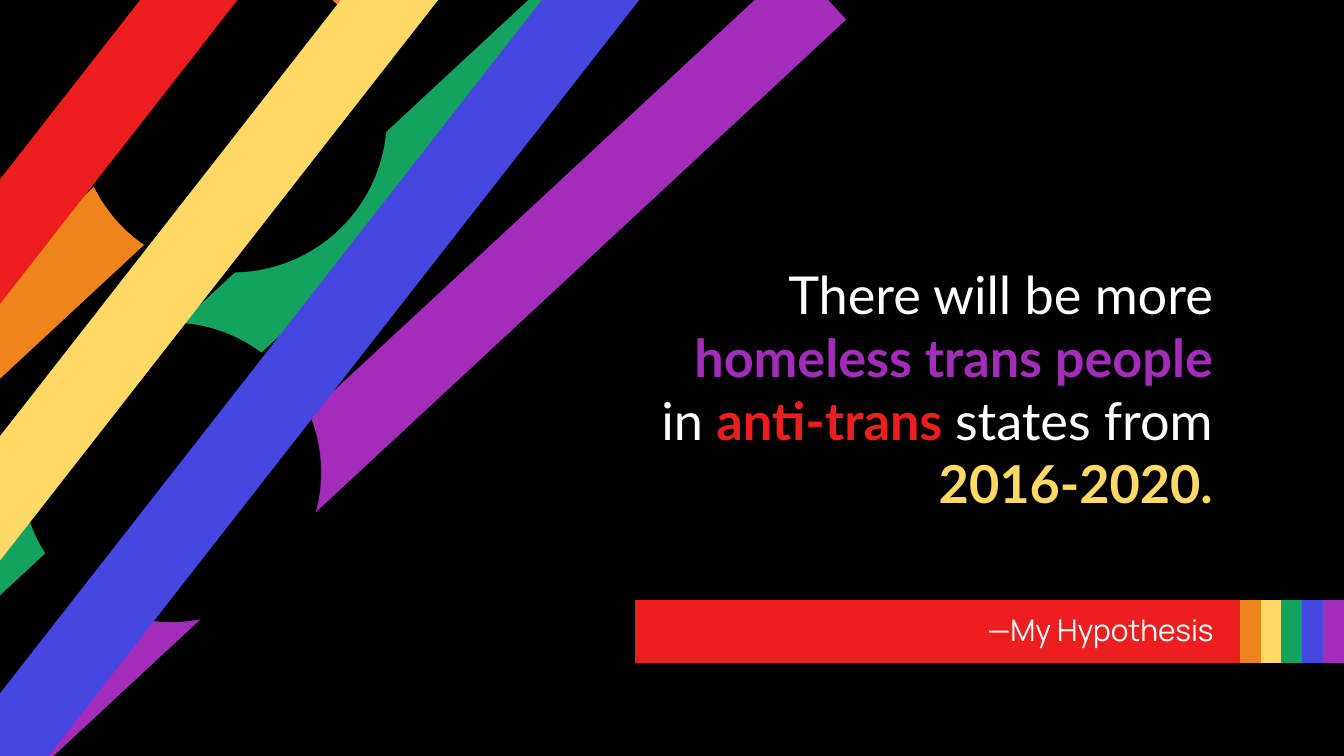
import pptx
import pptx.util
import pptx.dml.color
import pptx.enum.shapes
import pptx.enum.text

Cm = pptx.util.Cm
Pt = pptx.util.Pt
SHAPE = pptx.enum.shapes.MSO_SHAPE

COLORS = {
    "black": "000000",
    "white": "FFFFFF",
    "red": "EC1E1E",
    "orange": "EE841A",
    "yellow": "FFD966",
    "green": "13A35F",
    "blue": "4646E0",
    "purple": "A32CBB",
}
BAR_WIDTH = 1.45
SHALLOW, STEEP = 47.1, 38


def color(name):
    return pptx.dml.color.RGBColor.from_string(COLORS[name])


def set_values(target, values):
    for name, value in values.items():
        setattr(target, name, value)


def add_filled(group, kind, box, fill, outlined=False):
    shape = group.shapes.add_shape(kind, *[Cm(length) for length in box])
    shape.shadow.inherit = False
    shape.fill.solid()
    shape.fill.fore_color.rgb = color(fill)
    if outlined:
        shape.line.color.rgb = color(fill)
        shape.line.width = Pt(0.75)
    else:
        shape.line.fill.background()
    return shape


def add_rainbow_bars(page, box):
    left, top = box[:2]
    group = page.shapes.add_group_shape()

    def bar(x, y, length, angle, fill):
        place = (left + x, top + y, BAR_WIDTH, length)
        add_filled(group, SHAPE.RECTANGLE, place, fill).rotation = angle

    def cutout(x, y, diameter):
        place = (left + x, top + y, diameter, diameter)
        add_filled(group, SHAPE.OVAL, place, "black")

    bar(3.43, -3.45, 19.71, SHALLOW, "green")
    bar(1.22, -2.9, 14.53, SHALLOW, "orange")
    cutout(1.47, -0.69, 5.84)
    bar(7.09, -3.51, 20.98, SHALLOW, "purple")
    cutout(0.41, 6.1, 5.66)
    bar(4.6, -3.07, 21.08, STEEP, "blue")
    bar(2.39, -2.82, 16.51, STEEP, "yellow")
    bar(0.18, -3.56, 13.94, STEEP, "red")


def add_caption_band(page, box):
    left, top, width, height = box
    accents = ["orange", "yellow", "green", "blue", "purple"]
    step = 0.39
    main_width = width - step * len(accents)
    group = page.shapes.add_group_shape()
    add_filled(group, SHAPE.RECTANGLE, (left, top, main_width, height), "red", True)
    for index, accent in enumerate(accents):
        place = (left + main_width + index * step, top, step, height)
        add_filled(group, SHAPE.RECTANGLE, place, accent, True)


def fill_placeholder(page, holder, box, spans, font, size):
    page.shapes._spTree.append(holder._element)
    set_values(holder, dict(zip(("left", "top", "width", "height"), map(Cm, box))))
    frame = holder.text_frame
    inset = Cm(0.25)
    set_values(frame, {
        "word_wrap": True,
        "auto_size": pptx.enum.text.MSO_AUTO_SIZE.NONE,
        "vertical_anchor": pptx.enum.text.MSO_ANCHOR.MIDDLE,
        "margin_left": inset,
        "margin_top": inset,
        "margin_right": inset,
        "margin_bottom": inset,
    })
    para = frame.paragraphs[0]
    set_values(para, {
        "alignment": pptx.enum.text.PP_ALIGN.RIGHT,
        "space_before": Pt(0),
    })
    for text, fill, bold in spans:
        span = para.add_run()
        span.text = text
        set_values(span.font, {"name": font, "size": Pt(size), "bold": bold})
        span.font.color.rgb = color(fill)


def add_statement(page, box):
    spans = [
        ("There will be more ", "white", False),
        ("homeless trans people ", "purple", True),
        ("in ", "white", False),
        ("anti-trans ", "red", True),
        ("states from ", "white", False),
        ("2016-2020.", "yellow", True),
    ]
    fill_placeholder(page, page.shapes.title, box, spans, "Lato", 28)


def add_caption(page, box):
    spans = [("—My Hypothesis", "white", False)]
    fill_placeholder(page, page.placeholders[1], box, spans, "Manrope", 16)


def main():
    deck = pptx.Presentation()
    set_values(deck, {"slide_width": Cm(25.4), "slide_height": Cm(14.29)})
    page = deck.slides.add_slide(deck.slide_layouts[0])
    page.background.fill.solid()
    page.background.fill.fore_color.rgb = color("black")
    add_rainbow_bars(page, (0, 0, 16, 14.29))
    add_caption_band(page, (12.01, 11.35, 13.39, 1.17))
    add_statement(page, (12.22, 3.84, 10.95, 6.99))
    add_caption(page, (13.06, 11.15, 10.13, 1.52))
    deck.save("out.pptx")


if __name__ == "__main__":
    main()
